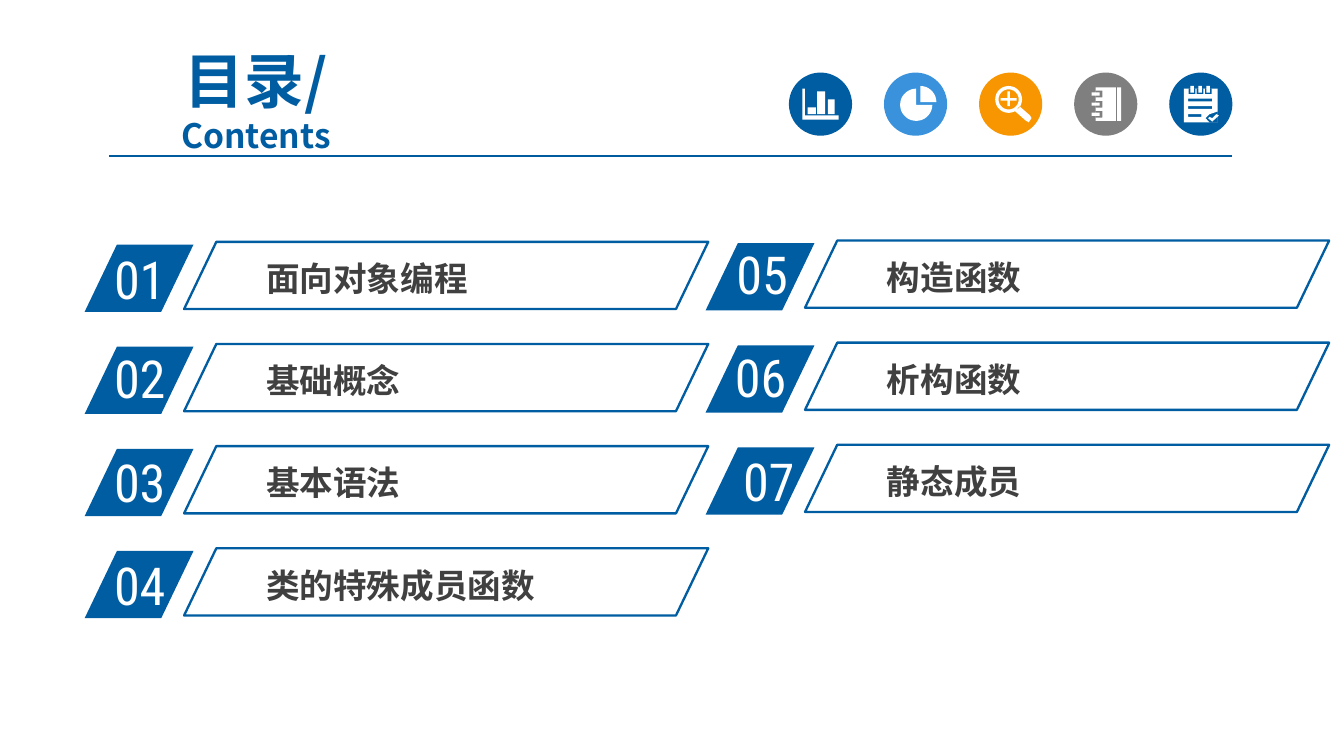
from math import cos, radians, sin

from lxml import etree
from pptx import Presentation
from pptx.dml.color import RGBColor
from pptx.enum.shapes import MSO_CONNECTOR, MSO_SHAPE
from pptx.enum.text import MSO_ANCHOR, MSO_AUTO_SIZE, PP_ALIGN
from pptx.oxml.ns import qn
from pptx.util import Inches, Pt

STRAIGHT = MSO_CONNECTOR.STRAIGHT
OVAL = MSO_SHAPE.OVAL
PARALLELOGRAM = MSO_SHAPE.PARALLELOGRAM
MIDDLE = MSO_ANCHOR.MIDDLE
CENTER = PP_ALIGN.CENTER
FIT_SHAPE = MSO_AUTO_SIZE.SHAPE_TO_FIT_TEXT

COLORS = {
    "blue": "005DA2",
    "rule": "005B9E",
    "sky": "3992DB",
    "orange": "F79600",
    "gray": "7F7F7F",
    "text": "404040",
    "white": "FFFFFF",
}
CHINESE_FONT = "Noto Sans CJK SC"
NUMBER_FONT = "Roboto Condensed"

ROW_PITCH = 0.76
# Left and top of each column, then number, label and the number's offset.
COLUMNS = [
    (0.63, 1.82, [
        ("01", "面向对象编程", 0.12, -0.03),
        ("02", "基础概念", 0.12, -0.05),
        ("03", "基本语法", 0.12, -0.04),
        ("04", "类的特殊成员函数", 0.12, -0.03),
    ]),
    (5.25, 1.81, [
        ("05", "构造函数", 0.13, -0.06),
        ("06", "析构函数", 0.12, -0.05),
        ("07", "静态成员", 0.18, -0.04),
    ]),
]


def rgb(name):
    return RGBColor.from_string(COLORS[name])


def box(left, top, width, height):
    return Inches(left), Inches(top), Inches(width), Inches(height)


def add_run(paragraph, text, size, font, color, bold=False):
    run = paragraph.add_run()
    run.text = text
    run.font.size = Pt(size)
    run.font.name = font
    run.font.bold = bold
    run.font.color.rgb = rgb(color)
    east_asian = etree.SubElement(run.font._element, qn("a:ea"))
    east_asian.set("typeface", font)


def style_shape(shape, fill=None, line=None):
    shape.shadow.inherit = False
    if fill:
        shape.fill.solid()
        shape.fill.fore_color.rgb = rgb(fill)
    else:
        shape.fill.background()
    if line:
        shape.line.color.rgb = rgb(line)
        shape.line.width = Pt(1.25)
    else:
        shape.line.fill.background()


def add_parallelogram(shapes, position, **style):
    shape = shapes.add_shape(PARALLELOGRAM, *position)
    shape.adjustments[0] = 0.48
    style_shape(shape, **style)


def add_text(shapes, position, text, size, font, color, bold=False):
    frame = shapes.add_textbox(*position).text_frame
    frame.word_wrap = True
    frame.auto_size = FIT_SHAPE
    add_run(frame.paragraphs[0], text, size, font, color, bold)
    return frame


def add_title(slide):
    title = slide.shapes.title
    title.left, title.top, title.width, title.height = box(0.67, 0.47, 2.47, 0.54)
    frame = title.text_frame
    frame.vertical_anchor = MIDDLE
    frame.word_wrap = True
    frame.margin_top = Inches(0.15)
    heading, subheading = frame.paragraphs[0], frame.add_paragraph()
    subheading.space_before = Pt(4)
    for paragraph, text, size in ((heading, "目录/", 32), (subheading, "Contents", 18)):
        paragraph.alignment = CENTER
        paragraph.line_spacing = 0.8
        add_run(paragraph, text, size, CHINESE_FONT, "blue", bold=True)


def add_rule(slide):
    rule = slide.shapes.add_connector(
        STRAIGHT, Inches(0.81), Inches(1.16), Inches(9.17), Inches(1.16))
    rule.line.color.rgb = rgb("rule")
    rule.line.width = Pt(0.75)
    etree.SubElement(rule._element.spPr, qn("a:effectLst"))


def add_item(slide, left, top, number, label, number_x, number_y):
    badge = slide.shapes.add_group_shape().shapes
    add_parallelogram(badge, box(left, top, 0.81, 0.5), fill="blue")
    add_text(badge, box(left + number_x, top + number_y, 0.78, 0.57),
             number, 28, NUMBER_FONT, "white")

    entry = slide.shapes.add_group_shape().shapes
    frame = add_text(entry, box(left + 1.28, top + 0.06, 2.86, 0.38),
                     label, 18, CHINESE_FONT, "text", bold=True)
    frame.margin_left = frame.margin_right = Inches(0.07)
    frame.margin_top = frame.margin_bottom = Inches(0.04)
    add_parallelogram(entry, box(left + 0.74, top - 0.02, 3.9, 0.5), line="blue")


def rectangle(left, top, right, bottom):
    return [(left, top), (right, top), (right, bottom), (left, bottom)]


def arc(x, y, radius, start=0, end=360):
    return [(x + radius * cos(radians(angle)), y + radius * sin(radians(angle)))
            for angle in range(start, end + 1, 10)]


def bar_chart_icon():
    axes = [(10, 12), (12, 12), (12, 32), (37, 32), (37, 35), (10, 35)]
    return [axes, rectangle(14, 26, 20, 31), rectangle(21, 14, 27, 31),
            rectangle(29, 20, 34, 31)]


def pie_icon():
    return [[(27, 22)] + arc(27, 22, 12, -90, 0),
            [(24, 24)] + arc(24, 24, 12, 0, 270)]


def magnifier_icon():
    plus = [(21, 14), (23, 14), (23, 19), (28, 19), (28, 21), (23, 21),
            (23, 25), (21, 25), (21, 21), (16, 21), (16, 19), (21, 19)]
    handle = [(30, 25), (38, 32), (39, 34), (37, 37), (35, 36), (27, 29)]
    return [arc(22, 20, 10), arc(22, 20, 7.5), plus, handle]


def notebook_icon():
    contours = [rectangle(32, 11, 35, 36), rectangle(16, 11, 31, 36)]
    for y in (16, 23.5, 31):
        contours += [rectangle(16, y - 2.5, 21, y + 2.5),
                     rectangle(13, y - 1.2, 19, y + 1.2)]
    return contours


def notepad_icon():
    contours = [rectangle(11, 12, 36, 37)]
    for x in (17, 23, 29):
        contours += [rectangle(x - 2.5, 12, x + 2.5, 16),
                     rectangle(x - 1.3, 10, x + 1.3, 15)]
    for y, right in ((20.5, 32), (26, 32), (32, 24)):
        contours.append(rectangle(14, y - 1, right, y + 1))
    corner = [(27, 34), (30, 31), (36, 29), (36, 37), (30, 37)]
    tick = [(29, 34), (30, 33), (32, 34), (35, 31), (37, 32), (32, 36.5)]
    return contours + [corner, tick]


def add_icon(slide, left, top, color, contours):
    """Draw a disc with a white symbol given in hundredths of an inch."""
    shapes = slide.shapes.add_group_shape().shapes
    style_shape(shapes.add_shape(OVAL, *box(left, top, 0.47, 0.47)), fill=color)
    # One unit is a thousandth of an inch.
    points = [[(x * 10, y * 10) for x, y in contour] for contour in contours]
    builder = shapes.build_freeform(*points[0][0], scale=Inches(1) / 1000)
    builder.add_line_segments(points[0][1:])
    for contour in points[1:]:
        builder.move_to(*contour[0])
        builder.add_line_segments(contour[1:])
    symbol = builder.convert_to_shape(Inches(left), Inches(top))
    style_shape(symbol, fill="white")


def main():
    presentation = Presentation()
    presentation.slide_width = Inches(10)
    presentation.slide_height = Inches(10) * 9 // 16
    slide = presentation.slides.add_slide(presentation.slide_layouts[5])

    add_title(slide)
    add_rule(slide)
    for left, top, items in COLUMNS:
        for row, item in enumerate(items):
            add_item(slide, left, top + row * ROW_PITCH, *item)

    icons = [("blue", bar_chart_icon()), ("sky", pie_icon()),
             ("orange", magnifier_icon()), ("gray", notebook_icon()),
             ("blue", notepad_icon())]
    pitch = (8.7 - 5.87) / (len(icons) - 1)
    for index, (color, contours) in enumerate(icons):
        add_icon(slide, 5.87 + index * pitch, 0.54, color, contours)

    presentation.save("out.pptx")


if __name__ == "__main__":
    main()
